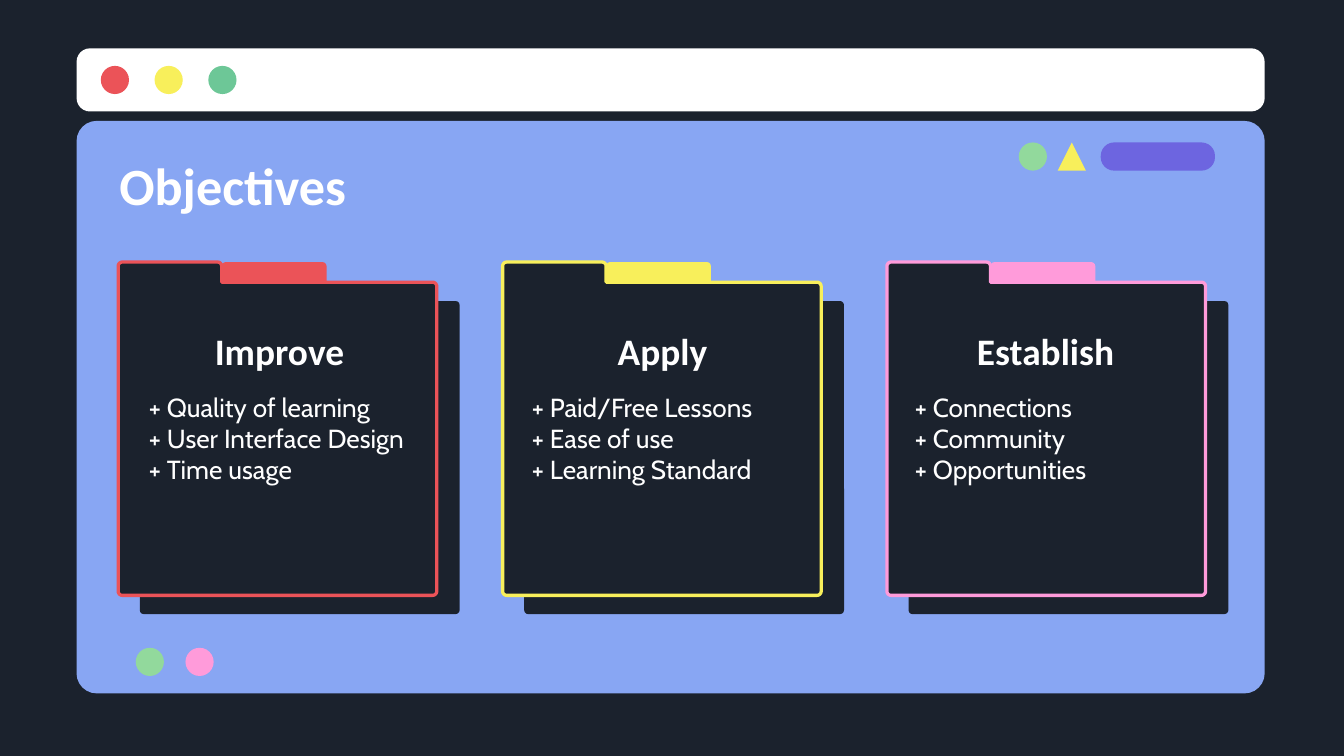
from dataclasses import dataclass
from math import cos, radians, sin

from pptx import Presentation
from pptx.dml.color import RGBColor
from pptx.enum.shapes import MSO_SHAPE
from pptx.enum.text import MSO_ANCHOR, PP_ALIGN
from pptx.util import Inches, Pt


@dataclass(frozen=True)
class Theme:
    night: str = "1B222D"
    window: str = "88A6F3"
    white: str = "FFFFFF"
    red: str = "EB5358"
    yellow: str = "F8EF5B"
    green: str = "6DC797"
    mint: str = "92D99C"
    violet: str = "6D65E0"
    pink: str = "FF9BDA"
    heading_font: str = "Calibri"
    body_font: str = "Cabin"
    title_size: int = 28
    heading_size: int = 20
    body_size: int = 14
    outline: float = 1.75


class SlideBuilder:
    def __init__(self, slide, theme):
        self.slide = slide
        self.theme = theme

    def background(self, color):
        fill = self.slide.background.fill
        fill.solid()
        fill.fore_color.rgb = RGBColor.from_string(color)

    def paint(self, shape, color, outline=None):
        shape.shadow.inherit = False
        shape.fill.solid()
        shape.fill.fore_color.rgb = RGBColor.from_string(color)
        if outline:
            shape.line.color.rgb = RGBColor.from_string(outline)
            shape.line.width = Pt(self.theme.outline)
        else:
            shape.line.fill.background()

    def preset(self, kind, box, color, radius=None):
        shape = self.slide.shapes.add_shape(kind, *map(Inches, box))
        if radius is not None:
            shape.adjustments[0] = radius / min(box[2:])
        self.paint(shape, color)

    def rounded(self, box, color, radius):
        self.preset(MSO_SHAPE.ROUNDED_RECTANGLE, box, color, radius)

    def dot(self, left, top, color, size=0.21):
        self.preset(MSO_SHAPE.OVAL, (left, top, size, size), color)

    def folder_front(self, left, top, color):
        radius, tab_width, tab_height = 0.03, 0.77, 0.15
        right, bottom = left + 2.37, top + 2.48
        shoulder = top + tab_height
        corners = [
            (left + radius, top + radius, 180),
            (left + tab_width - radius, top + radius, 270),
            (right - radius, shoulder + radius, 270),
            (right - radius, bottom - radius, 0),
            (left + radius, bottom - radius, 90),
        ]
        arcs = [
            [(x + radius * cos(radians(start + turn)),
              y + radius * sin(radians(start + turn)))
             for turn in range(0, 91, 15)]
            for x, y, start in corners
        ]
        arcs.insert(2, [(left + tab_width, shoulder)])
        outline = [(Inches(x), Inches(y)) for arc in arcs for x, y in arc]
        builder = self.slide.shapes.build_freeform(*outline[0])
        builder.add_line_segments(outline[1:], close=True)
        self.paint(builder.convert_to_shape(), self.theme.night, color)

    def folder(self, left, top, color):
        self.rounded((left + 0.16, top + 0.29, 2.38, 2.33), self.theme.night, 0.03)
        self.rounded((left + 0.77, top, 0.78, 0.29), color, 0.03)
        self.folder_front(left, top, color)

    def text(self, box, lines, font, size, bold=False,
             align=PP_ALIGN.LEFT, anchor=MSO_ANCHOR.TOP):
        frame = self.slide.shapes.add_textbox(*map(Inches, box)).text_frame
        frame_format = {"word_wrap": True, "vertical_anchor": anchor}
        for side in ("left", "right", "top", "bottom"):
            frame_format[f"margin_{side}"] = Inches(0.1)
        for name, value in frame_format.items():
            setattr(frame, name, value)
        frame.text = "\n".join(lines)
        font_format = {"name": font, "size": Pt(size), "bold": bold}
        for paragraph in frame.paragraphs:
            paragraph.alignment = align
            for name, value in font_format.items():
                setattr(paragraph.font, name, value)
            paragraph.font.color.rgb = RGBColor.from_string(self.theme.white)

    def heading(self, box, words, size, align=PP_ALIGN.LEFT):
        self.text(box, [words], self.theme.heading_font, size, True,
                  align, MSO_ANCHOR.MIDDLE)

    def body(self, box, lines):
        self.text(box, lines, self.theme.body_font, self.theme.body_size)


def main():
    theme = Theme()
    deck = Presentation()
    deck.slide_width = Inches(10)
    deck.slide_height = deck.slide_width * 9 // 16
    page = SlideBuilder(deck.slides.add_slide(deck.slide_layouts[6]), theme)

    page.background(theme.night)
    page.rounded((0.57, 0.9, 8.84, 4.26), theme.window, 0.15)
    page.rounded((0.57, 0.36, 8.84, 0.47), theme.white, 0.1)
    for index, color in enumerate((theme.red, theme.yellow, theme.green)):
        page.dot(0.75 + 0.4 * index, 0.49, color)

    page.dot(7.58, 1.06, theme.mint)
    page.preset(MSO_SHAPE.ISOSCELES_TRIANGLE, (7.87, 1.06, 0.21, 0.21), theme.yellow)
    page.rounded((8.19, 1.06, 0.85, 0.21), theme.violet, 0.1)
    page.dot(1.38, 4.82, theme.pink)
    page.dot(1.01, 4.82, theme.mint)

    page.heading((0.79, 1.06, 8.43, 0.62), "Objectives", theme.title_size)

    objectives = [
        ("Improve", theme.red,
         ["+ Quality of learning", "+ User Interface Design", "+ Time usage"]),
        ("Apply", theme.yellow,
         ["+ Paid/Free Lessons", "+ Ease of use", "+ Learning Standard"]),
        ("Establish", theme.pink,
         ["+ Connections", "+ Community", "+ Opportunities"]),
    ]
    for index, (goal, color, points) in enumerate(objectives):
        page.folder(0.88 + 2.86 * index, 1.95, color)
        text_left = 1.01 + 2.85 * index
        page.heading((text_left, 2.32, 2.14, 0.58), goal,
                     theme.heading_size, PP_ALIGN.CENTER)
        page.body((text_left, 2.81, 2.14, 1.36), points)

    deck.save("out.pptx")


if __name__ == "__main__":
    main()
